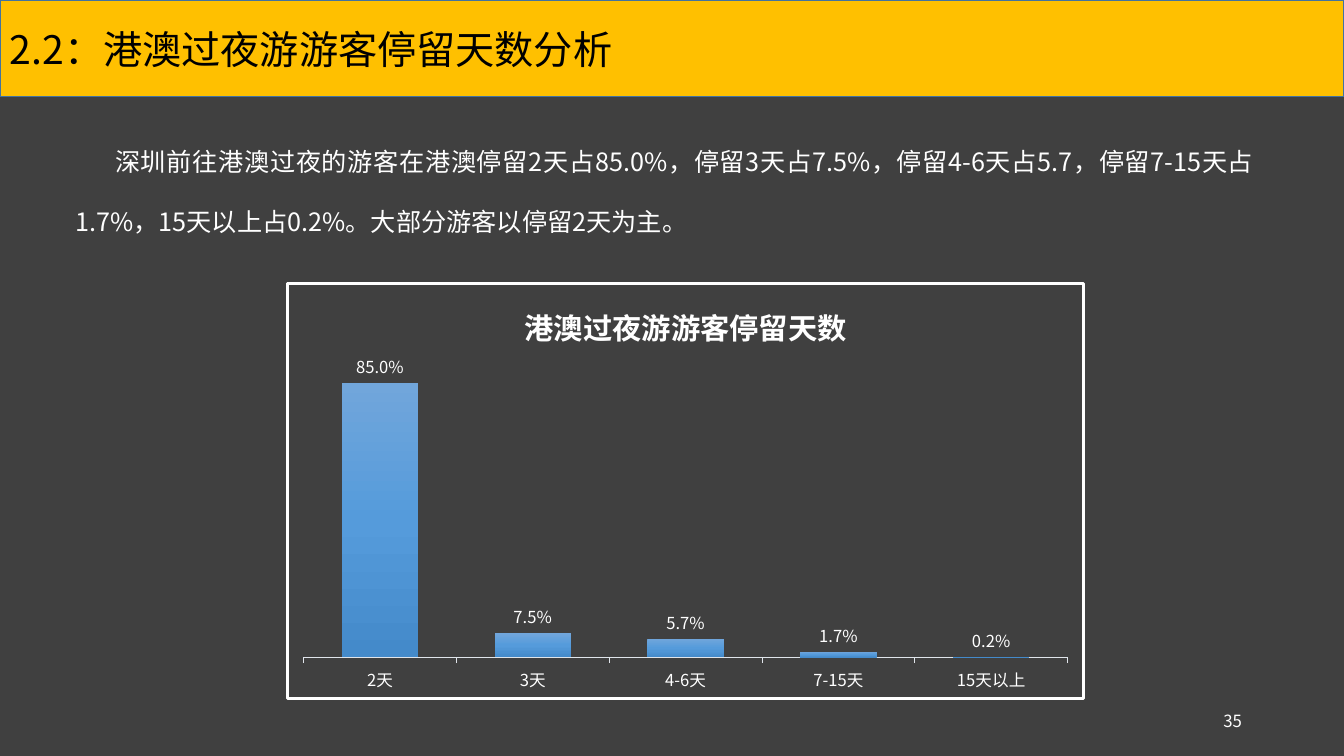
from dataclasses import dataclass

from lxml import etree
from pptx import Presentation
from pptx import util as u
from pptx.chart.data import CategoryChartData
from pptx.dml.color import RGBColor
from pptx.enum import chart as ch
from pptx.enum import shapes, text
from pptx.oxml import parse_xml
from pptx.oxml.ns import nsdecls, qn


@dataclass(frozen=True)
class Theme:
    font: str = "Noto Sans CJK SC"
    background: str = "404040"
    banner: str = "FFC000"
    banner_line: str = "43739E"
    dark: str = "000000"
    light: str = "FFFFFF"
    axis: str = "E0E5EB"
    column_gradient: tuple = ((0, "71A6DB"), (50, "559BDB"), (100, "448ACA"))
    title_size: float = 28
    body_size: float = 18
    body_pitch: float = 42.85
    chart_title_size: float = 21
    chart_size: float = 10
    label_size: float = 11.9
    number_size: float = 12


def set_all(obj, values):
    for name, value in values.items():
        setattr(obj, name, value)


def cm(*lengths):
    return [u.Cm(n) for n in lengths]


class SlideBuilder:
    def __init__(self, prs, theme):
        self.theme = theme
        self.s = prs.slides.add_slide(prs.slide_layouts[6])
        fill = self.s.background.fill
        fill.solid()
        fill.fore_color.rgb = RGBColor.from_string(theme.background)

    def style_font(self, font, size, color, bold=False):
        set_all(font, {"name": self.theme.font, "size": u.Pt(size), "bold": bold})
        font.color.rgb = RGBColor.from_string(color)
        rpr = font._element
        ea = etree.Element(qn("a:ea"), typeface=self.theme.font)
        rpr.find(qn("a:latin")).addnext(ea)

    def fill_text(self, tf, words, size, color, frame=None, para=None):
        set_all(tf, {"word_wrap": True, **(frame or {})})
        p = tf.paragraphs[0]
        set_all(p, para or {})
        r = p.add_run()
        r.text = words
        self.style_font(r.font, size, color)
        return p

    def banner(self, words, box):
        t = self.theme
        sp = self.s.shapes.add_shape(shapes.MSO_SHAPE.RECTANGLE, *cm(*box))
        sp.shadow.inherit = False
        sp.fill.solid()
        sp.fill.fore_color.rgb = RGBColor.from_string(t.banner)
        sp.line.color.rgb = RGBColor.from_string(t.banner_line)
        sp.line.width = u.Pt(1)
        self.fill_text(sp.text_frame, words, t.title_size, t.dark,
                       {"vertical_anchor": text.MSO_ANCHOR.MIDDLE},
                       {"alignment": text.PP_ALIGN.LEFT})

    def text(self, words, box, size, frame=None, para=None, indent=0):
        sp = self.s.shapes.add_textbox(*cm(*box))
        p = self.fill_text(sp.text_frame, words, size, self.theme.light, frame, para)
        if indent:
            p._p.get_or_add_pPr().set("indent", str(u.Cm(indent)))

    def column_chart(self, title, values, box, plot):
        """Draw a bordered column chart; plot holds the inner area as fractions."""
        t = self.theme
        data = CategoryChartData(number_format="0.0%")
        data.categories = list(values)
        data.add_series("Series 1", list(values.values()))
        chart = self.s.shapes.add_chart(
            ch.XL_CHART_TYPE.COLUMN_CLUSTERED, *cm(*box), data).chart
        self.style_font(chart.font, t.chart_size, t.light)
        set_all(chart, {"has_legend": False, "has_title": True})
        tf = chart.chart_title.text_frame
        r = tf.paragraphs[0].add_run()
        r.text = title
        self.style_font(r.font, t.chart_title_size, t.light, bold=True)

        set_all(chart.value_axis, {
            "visible": False, "has_major_gridlines": False,
            "minimum_scale": 0, "maximum_scale": 0.9})
        axis = chart.category_axis
        axis.major_tick_mark = ch.XL_TICK_MARK.OUTSIDE
        self.style_font(axis.tick_labels.font, t.label_size, t.light)
        axis.format.line.color.rgb = RGBColor.from_string(t.axis)
        axis.format.line.width = u.Pt(0.75)

        columns = chart.plots[0]
        set_all(columns, {"gap_width": 100, "vary_by_categories": False,
                          "has_data_labels": True})
        labels = columns.data_labels
        set_all(labels, {
            "show_value": True, "number_format": "0.0%",
            "number_format_is_linked": False,
            "position": ch.XL_LABEL_POSITION.OUTSIDE_END})
        self.style_font(labels.font, t.label_size, t.light)
        self.fill_columns(columns.series[0])
        self.frame_chart(chart, plot)

    def fill_columns(self, series):
        stops = "".join(
            f'<a:gs pos="{pos * 1000}"><a:srgbClr val="{color}"/></a:gs>'
            for pos, color in self.theme.column_gradient)
        series._element.get_or_add_spPr().insert(0, parse_xml(
            f'<a:gradFill {nsdecls("a")} rotWithShape="1"><a:gsLst>{stops}</a:gsLst>'
            '<a:lin ang="5400000" scaled="0"/></a:gradFill>'))

    def frame_chart(self, chart, plot):
        """Add the outer border and fix the inner plot area."""
        root = chart._chartSpace.find(qn("c:chart"))
        root.addnext(parse_xml(
            f'<c:spPr {nsdecls("c", "a")}><a:noFill/><a:ln w="{u.Pt(2.25)}"><a:solidFill>'
            f'<a:srgbClr val="{self.theme.light}"/></a:solidFill></a:ln></c:spPr>'))
        area = root.find(qn("c:plotArea"))
        for old in area.findall(qn("c:layout")):
            area.remove(old)
        modes = '<c:xMode val="edge"/><c:yMode val="edge"/>'
        sizes = "".join(f'<c:{k} val="{v}"/>' for k, v in zip("xywh", plot))
        area.insert(0, parse_xml(
            f'<c:layout {nsdecls("c")}><c:manualLayout><c:layoutTarget val="inner"/>'
            f'{modes}{sizes}</c:manualLayout></c:layout>'))


def main():
    prs = Presentation()
    set_all(prs, {"slide_width": u.Cm(33.87), "slide_height": u.Cm(19.05)})
    theme = Theme()
    slide = SlideBuilder(prs, theme)
    slide.banner("2.2：港澳过夜游游客停留天数分析", (0, 0, 33.87, 2.44))
    slide.text(
        "深圳前往港澳过夜的游客在港澳停留2天占85.0%，停留3天占7.5%，停留4-6天占5.7，"
        "停留7-15天占1.7%，15天以上占0.2%。大部分游客以停留2天为主。",
        (1.65, 2.8, 30.18, 3.28), theme.body_size,
        para={"alignment": text.PP_ALIGN.JUSTIFY,
              "line_spacing": u.Pt(theme.body_pitch)},
        indent=1)
    slide.column_chart(
        "港澳过夜游游客停留天数",
        {"2天": 0.85, "3天": 0.075, "4-6天": 0.057, "7-15天": 0.017, "15天以上": 0.002},
        (7.21, 7.11, 20.14, 10.54), plot=(0.02, 0.2, 0.96, 0.7))
    slide.text("35", (23.93, 17.65, 7.62, 1.02), theme.number_size,
               {"vertical_anchor": text.MSO_ANCHOR.MIDDLE},
               {"alignment": text.PP_ALIGN.RIGHT})
    prs.save("out.pptx")


if __name__ == "__main__":
    main()
